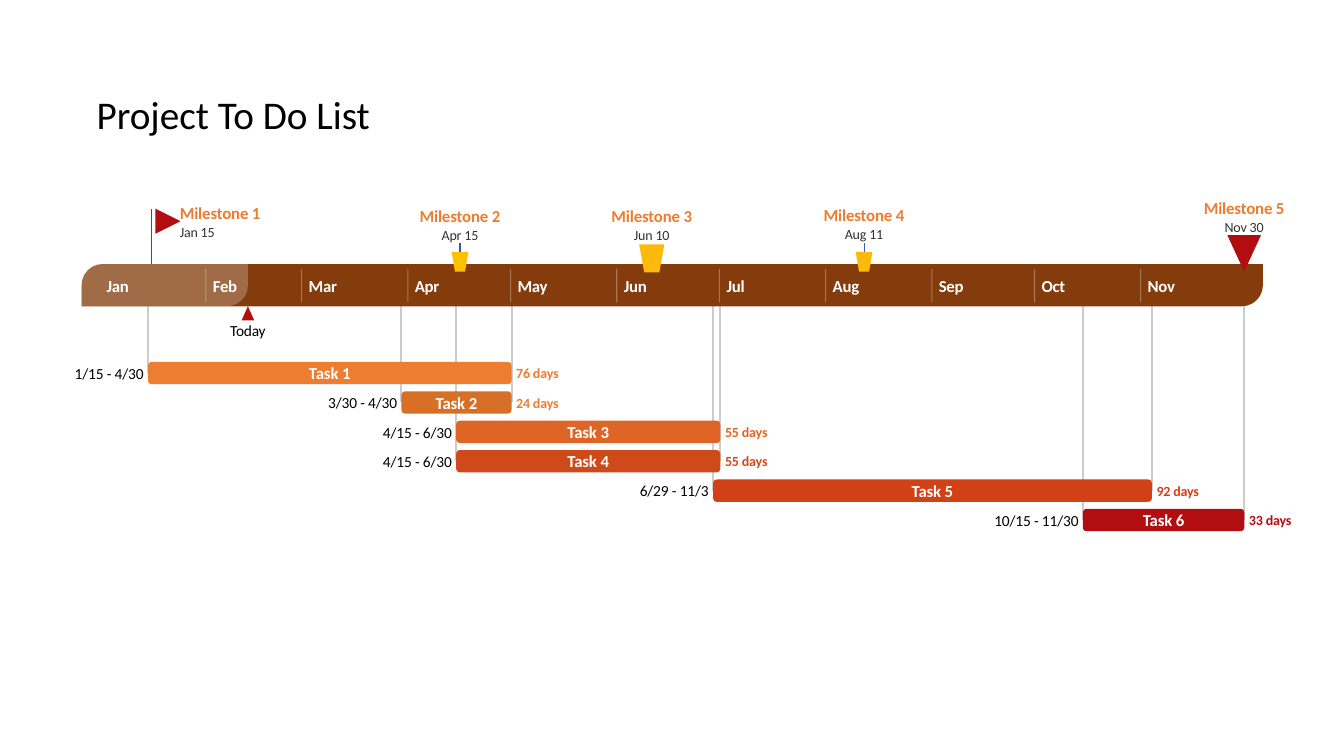
from dataclasses import dataclass
from itertools import accumulate

from lxml.etree import SubElement
from pptx import Presentation
from pptx.dml.color import RGBColor
from pptx.enum.shapes import MSO_CONNECTOR as Connector, MSO_SHAPE as Shape
from pptx.enum.text import MSO_ANCHOR as Anchor, PP_ALIGN as Align
from pptx.oxml.ns import qn
from pptx.util import Pt


@dataclass(frozen=True)
class Style:
    size: float
    bold: bool = False
    spacing: int = -10


@dataclass(frozen=True)
class Theme:
    font: str = "Calibri"
    black: str = "000000"
    white: str = "FFFFFF"
    gray: str = "323232"
    guide: str = "CCCCCC"
    band: str = "843C0C"
    elapsed: str = "E3DED1"
    orange: str = "ED7D31"
    red: str = "B20E12"
    pole: str = "9F2936"
    gold: str = "FFC000"
    amber: str = "FEBA0A"
    title: Style = Style(28, spacing=0)
    month: Style = Style(12, True, -20)
    today: Style = Style(11, spacing=-20)
    name: Style = Style(12, True)
    period: Style = Style(11)
    days: Style = Style(10, True)
    date: Style = Style(10)


THEME = Theme()
MONTHS = ["Jan", "Feb", "Mar", "Apr", "May", "Jun", "Jul", "Aug", "Sep", "Oct", "Nov"]
MONTH_STARTS = list(accumulate([31, 28, 31, 30, 31, 30, 31, 31, 30, 31], initial=0))
YEAR_LEFT, DAY_WIDTH = 71.2, 2.446
BAND_LEFT, BAND_TOP, BAND_WIDTH, BAND_HEIGHT = 58.3, 188.6, 843.8, 30.2
BAND_BOTTOM = BAND_TOP + BAND_HEIGHT
ELAPSED_WIDTH = 118.8
TASK_TOP, TASK_PITCH, TASK_HEIGHT = 258.5, 21, 16

TASKS = [
    ("Task 1", (1, 15), (4, 30), "76 days", "ED7D31", "ED7D31"),
    ("Task 2", (3, 30), (4, 30), "24 days", "D86F27", "ED7D31"),
    ("Task 3", (4, 15), (6, 30), "55 days", "DF6527", "DF6527"),
    ("Task 4", (4, 15), (6, 30), "55 days", "CF4A1B", "CF4A1B"),
    ("Task 5", (6, 29), (11, 3), "92 days", "D24015", "D24015"),
    ("Task 6", (10, 15), (11, 30), "33 days", "B20E12", "B20E12"),
]
MILESTONES = [
    ("Milestone 2", (4, 15), 147, Shape.FLOWCHART_MANUAL_OPERATION, THEME.gold, 180, 12, 14, 0),
    ("Milestone 3", (6, 10), 147, Shape.FLOWCHART_MANUAL_OPERATION, THEME.amber, 174.5, 18, 20, 0),
    ("Milestone 4", (8, 11), 146, Shape.FLOWCHART_MANUAL_OPERATION, THEME.amber, 180, 12, 14, 0),
    ("Milestone 5", (11, 30), 141, Shape.ISOSCELES_TRIANGLE, THEME.red, 168, 24, 26, 180),
]
STEMS = [((4, 15), "325A9E"), ((8, 11), "3961A7")]


def date_x(date, days_after=0):
    """Return the horizontal place of a (month, day) date."""
    month, day = date
    return YEAR_LEFT + DAY_WIDTH * (MONTH_STARTS[month - 1] + day - 1 + days_after)


def milestone_x(date):
    """Return the centre of a milestone marker."""
    return date_x(date) + 3


def set_alpha(fill, percent):
    """Make a solid fill partly transparent."""
    colour = fill._xPr.find(qn("a:solidFill"))[0]
    SubElement(colour, qn("a:alpha"), val=str(percent * 1000))


def write(shape, text, style, colour, align):
    """Put one styled line of text in a shape."""
    frame = shape.text_frame
    frame.text = text
    frame.word_wrap = True
    frame.vertical_anchor = Anchor.MIDDLE
    frame.margin_left = frame.margin_right = frame.margin_top = frame.margin_bottom = 0
    para = frame.paragraphs[0]
    para.alignment = align
    span = para.runs[0]
    span.font.name = THEME.font
    span.font.size = Pt(style.size)
    span.font.bold = style.bold
    span.font.color.rgb = RGBColor.from_string(colour)
    span._r.get_or_add_rPr().set("spc", str(style.spacing))


def add_label(page, text, left, middle, width, style, colour, align=Align.LEFT):
    """Add a text box centred vertically on a line."""
    height = style.size * 1.2
    box = page.shapes.add_textbox(Pt(left), Pt(middle - height / 2), Pt(width), Pt(height))
    write(box, text, style, colour, align)


def add_block(page, kind, left, top, width, height, colour):
    """Add a flat filled shape without an outline."""
    block = page.shapes.add_shape(kind, Pt(left), Pt(top), Pt(width), Pt(height))
    block.shadow.inherit = False
    block.fill.solid()
    block.fill.fore_color.rgb = RGBColor.from_string(colour)
    block.line.fill.background()
    return block


def add_upright(page, x, top, bottom, colour, weight=0.75):
    """Add a vertical line."""
    line = page.shapes.add_connector(Connector.STRAIGHT, Pt(x), Pt(top), Pt(x), Pt(bottom))
    line.line.color.rgb = RGBColor.from_string(colour)
    line.line.width = Pt(weight)
    SubElement(line._element.spPr, qn("a:effectLst"))
    return line


def bar_edges(start, end):
    """Return the left and right sides of a task bar."""
    return date_x(start) + 0.3, date_x(end, 1) + 0.7


def row_middle(row):
    """Return the vertical centre of a task row."""
    return TASK_TOP + row * TASK_PITCH + TASK_HEIGHT / 2


def add_guides(page):
    """Add one guide per date, down to the lowest task that uses it."""
    targets = {}
    for row, (_, start, end, *_) in enumerate(TASKS):
        left, right = bar_edges(start, end)
        targets[left] = (row, 1)
        targets[right] = (row, 3)
    return [
        (add_upright(page, x, BAND_BOTTOM, row_middle(row), THEME.guide, 1.5), row, site)
        for x, (row, site) in targets.items()
    ]


def add_band(page):
    """Add the month band with its elapsed part and today marker."""
    for width, colour in ((BAND_WIDTH, THEME.band), (ELAPSED_WIDTH, THEME.elapsed)):
        band = add_block(page, Shape.ROUND_2_DIAG_RECTANGLE, BAND_LEFT, BAND_TOP, width, BAND_HEIGHT, colour)
        band.adjustments[0] = 0.5
        band.adjustments[1] = 0
    set_alpha(band.fill, 30)
    today = BAND_LEFT + ELAPSED_WIDTH
    add_block(page, Shape.ISOSCELES_TRIANGLE, today - 4.5, BAND_BOTTOM, 9, 10, THEME.red)
    add_label(page, "Today", today - 20, 235.8, 40, THEME.today, THEME.black, Align.CENTER)
    for number, month in enumerate(MONTHS, 1):
        x = date_x((number, 1))
        add_label(page, month, x + 5, 203.8, 40, THEME.month, THEME.white)
        if number > 1:
            tick = add_upright(page, x, 192, 216, THEME.white)
            set_alpha(tick.line.fill, 30)


def add_task(page, row, name, start, end, days, colour, days_colour):
    """Add a task bar with its period and length."""
    left, right = bar_edges(start, end)
    middle = row_middle(row)
    bar = add_block(page, Shape.ROUNDED_RECTANGLE, left, middle - TASK_HEIGHT / 2, right - left, TASK_HEIGHT, colour)
    write(bar, name, THEME.name, THEME.white, Align.CENTER)
    period = f"{start[0]}/{start[1]} - {end[0]}/{end[1]}"
    add_label(page, period, left - 83, middle, 80, THEME.period, THEME.black, Align.RIGHT)
    add_label(page, days, right + 3.3, middle, 45, THEME.days, days_colour)
    return bar


def add_milestone_text(page, name, date, left, top, align):
    """Add the name and date of a milestone."""
    add_label(page, name, left, top + 7.2, 80, THEME.name, THEME.orange, align)
    add_label(page, f"{MONTHS[date[0] - 1]} {date[1]}", left, top + 20.8, 80, THEME.date, THEME.gray, align)


def add_milestone(page, name, date, text_top, kind, colour, top, width, height, rotation):
    """Add a milestone marker with centred text above it."""
    x = milestone_x(date)
    marker = add_block(page, kind, x - width / 2, top, width, height, colour)
    marker.rotation = rotation
    add_milestone_text(page, name, date, x - 40, text_top, Align.CENTER)


def main():
    """Build the project timeline slide."""
    deck = Presentation()
    deck.slide_width, deck.slide_height = Pt(960), Pt(540)
    page = deck.slides.add_slide(deck.slide_layouts[6])
    guides = add_guides(page)
    flag_x = milestone_x((1, 15))
    add_upright(page, flag_x, 149, 189, THEME.pole)
    for date, colour in STEMS:
        add_upright(page, milestone_x(date), 173.5, 187, colour)
    add_band(page)
    bars = [add_task(page, row, *task) for row, task in enumerate(TASKS)]
    for guide, row, site in guides:
        guide.end_connect(bars[row], site)
    flag = add_block(page, Shape.FLOWCHART_MERGE, flag_x + 2.5, 149, 18, 18, THEME.red)
    flag.rotation = 270
    add_milestone_text(page, "Milestone 1", (1, 15), flag_x + 20, 145, Align.LEFT)
    for milestone in MILESTONES:
        add_milestone(page, *milestone)
    add_label(page, "Project To Do List", 69, 81, 320, THEME.title, THEME.black)
    deck.save("out.pptx")


if __name__ == "__main__":
    main()
